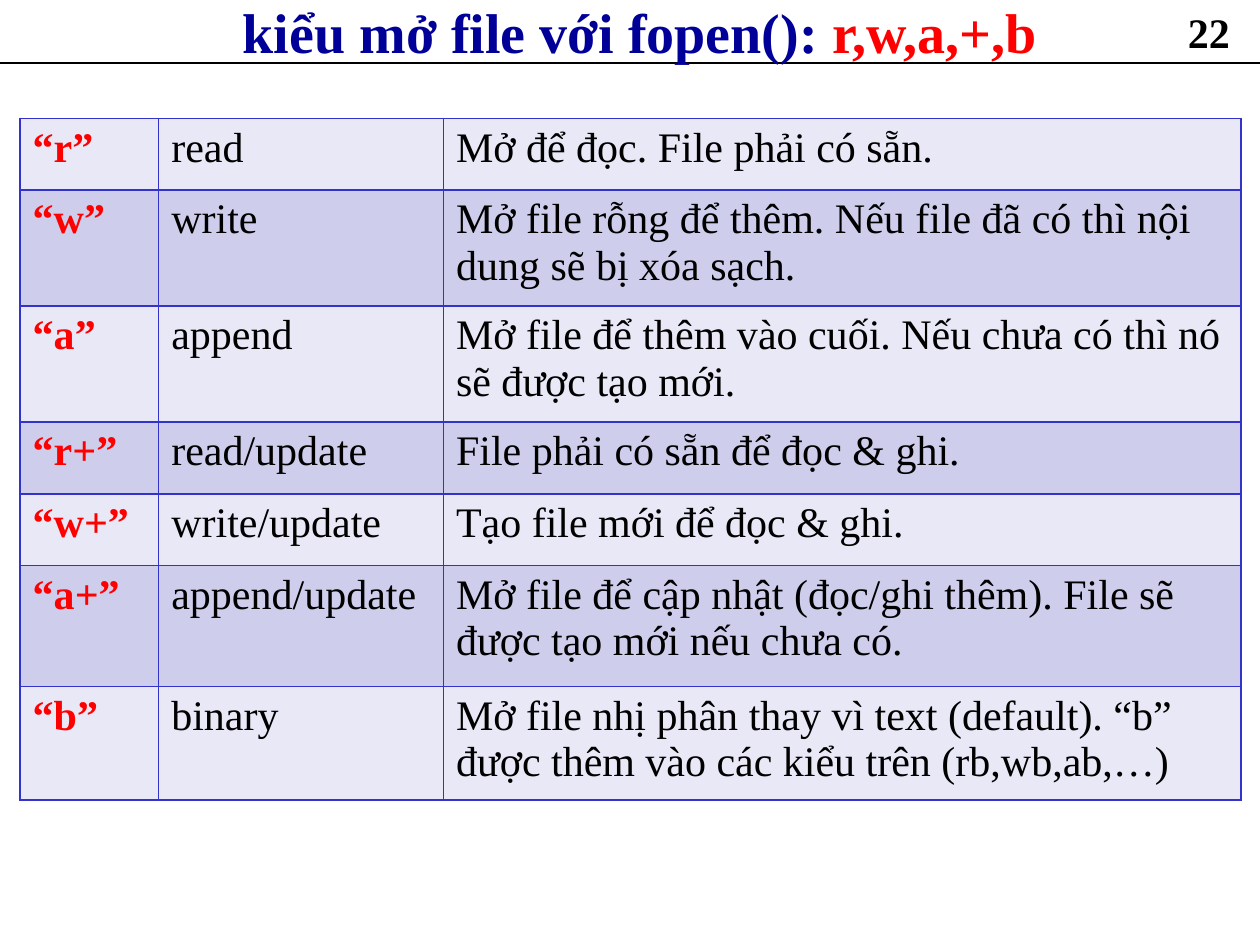
from lxml import etree
from pptx import Presentation
from pptx.dml.color import RGBColor
from pptx.enum.shapes import MSO_CONNECTOR as Connector
from pptx.enum.text import MSO_ANCHOR as Anchor, PP_ALIGN as Align
from pptx.oxml.ns import qn
from pptx.util import Inches, Pt

BLACK = RGBColor(0x00, 0x00, 0x00)
NAVY = RGBColor(0x00, 0x00, 0x99)
RED = RGBColor(0xFF, 0x00, 0x00)
BORDER = RGBColor(0x33, 0x33, 0xCC)
BANDS = (RGBColor(0xE8, 0xE8, 0xF6), RGBColor(0xCE, 0xCE, 0xEC))

MODES = [
    ("“r”", "read", "Mở để đọc. File phải có sẵn."),
    ("“w”", "write", "Mở file rỗng để thêm. Nếu file đã có thì nội dung sẽ bị xóa sạch."),
    ("“a”", "append", "Mở file để thêm vào cuối. Nếu chưa có thì nó sẽ được tạo mới."),
    ("“r+”", "read/update", "File phải có sẵn để đọc & ghi."),
    ("“w+”", "write/update", "Tạo file mới để đọc & ghi."),
    ("“a+”", "append/update", "Mở file để cập nhật (đọc/ghi thêm). File sẽ được tạo mới nếu chưa có."),
    ("“b”", "binary", "Mở file nhị phân thay vì text (default). “b” được thêm vào các kiểu trên (rb,wb,ab,…)"),
]
COLUMN_WIDTHS = (11, 22.6, 63.3)
ROW_HEIGHTS = (5.7, 9.2, 9.2, 5.7, 5.7, 9.6, 8.4)


class SlideBuilder:
    font_name = "Times New Roman"
    columns, rows = 100, 75

    def __init__(self, presentation):
        self.column = presentation.slide_width / self.columns
        self.row = presentation.slide_height / self.rows
        self.slide = presentation.slides.add_slide(presentation.slide_layouts[6])

    def box(self, left, top, width, height):
        return (round(left * self.column), round(top * self.row),
                round(width * self.column), round(height * self.row))

    def style(self, paragraph, size, bold):
        paragraph.font.name = self.font_name
        paragraph.font.size = Pt(size)
        paragraph.font.bold = bold

    def text(self, area, runs, size, align=Align.LEFT, anchor=Anchor.TOP):
        frame = self.slide.shapes.add_textbox(*self.box(*area)).text_frame
        frame.word_wrap = True
        frame.vertical_anchor = anchor
        paragraph = frame.paragraphs[0]
        paragraph.alignment = align
        self.style(paragraph, size, True)
        for wording, color in runs:
            run = paragraph.add_run()
            run.text = wording
            run.font.color.rgb = color

    def rule(self, top, color, width):
        x, y, length, _ = self.box(0, top, self.columns, 0)
        line = self.slide.shapes.add_connector(Connector.STRAIGHT, x, y, x + length, y)
        line.line.color.rgb = color
        line.line.width = Pt(width)
        etree.SubElement(line._element.spPr, qn("a:effectLst"))

    def border(self, cell, color, width):
        properties = cell._tc.get_or_add_tcPr()
        for position, side in enumerate(("a:lnL", "a:lnR", "a:lnT", "a:lnB")):
            line = etree.Element(qn(side), w=str(Pt(width)))
            fill = etree.SubElement(line, qn("a:solidFill"))
            etree.SubElement(fill, qn("a:srgbClr"), val=str(color))
            properties.insert(position, line)

    def table(self, left, top, widths, heights, records, size):
        area = self.box(left, top, sum(widths), sum(heights))
        table = self.slide.shapes.add_table(len(heights), len(widths), *area).table
        table.first_row = False
        table.horz_banding = False
        for column, width in zip(table.columns, widths):
            column.width = round(width * self.column)
        for row, height in zip(table.rows, heights):
            row.height = round(height * self.row)
        for row_index, record in enumerate(records):
            for column_index, wording in enumerate(record):
                is_mode = column_index == 0
                cell = table.cell(row_index, column_index)
                cell.text = wording
                cell.fill.solid()
                cell.fill.fore_color.rgb = BANDS[row_index % 2]
                self.border(cell, BORDER, 1)
                paragraph = cell.text_frame.paragraphs[0]
                self.style(paragraph, size, is_mode)
                paragraph.font.color.rgb = RED if is_mode else BLACK


def main():
    presentation = Presentation()
    presentation.slide_width = Inches(10)
    presentation.slide_height = Inches(7.5)
    builder = SlideBuilder(presentation)
    builder.rule(5, BLACK, 0.75)
    builder.text((8.3, 0, 85, 5),
                 [("kiểu mở file với fopen(): ", NAVY), ("r,w,a,+,b", RED)],
                 32, Align.CENTER, Anchor.MIDDLE)
    builder.text((93.3, 0, 6.7, 5), [("22", BLACK)], 24)
    builder.table(1.6, 9.4, COLUMN_WIDTHS, ROW_HEIGHTS, MODES, 24)
    presentation.save("out.pptx")


if __name__ == "__main__":
    main()
